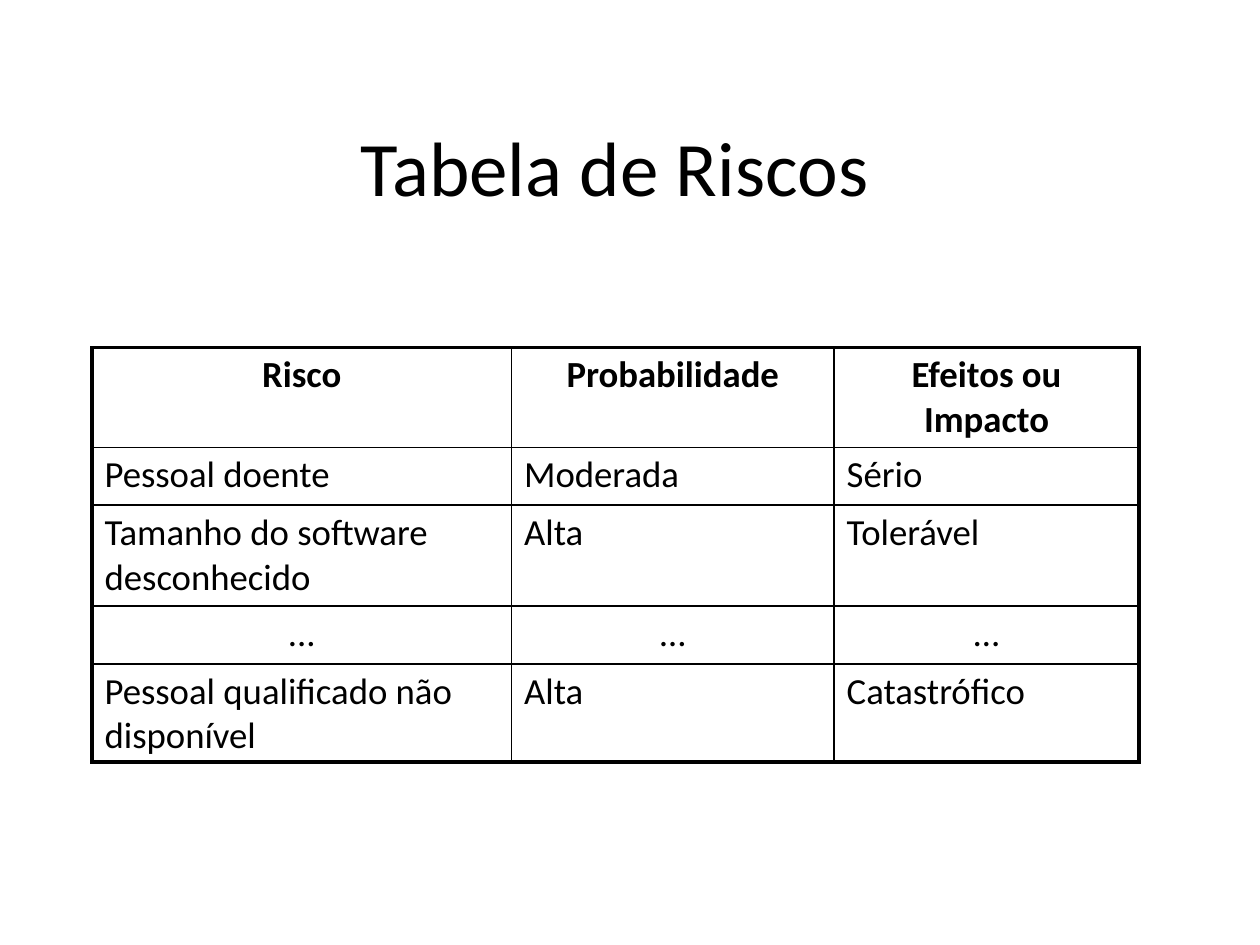
from lxml import etree
from pptx import Presentation
from pptx import util as u
from pptx.dml.color import RGBColor
from pptx.enum import text
from pptx.oxml import ns

COLORS = {"ink": "000000"}
THIN, THICK = 0.96, 2.21
COLUMNS = [3.33, 2.56, 2.42]
ROWS = [0.79, 0.46, 0.8, 0.46, 0.78]
RISKS = [
    ["Risco", "Probabilidade", "Efeitos ou Impacto"],
    ["Pessoal doente", "Moderada", "Sério"],
    ["Tamanho do software desconhecido", "Alta", "Tolerável"],
    ["...", "…", "…"],
    ["Pessoal qualificado não disponível", "Alta", "Catastrófico"],
]
CELL_FORMAT = {
    "margin_left": u.Inches(0.1), "margin_right": u.Inches(0.1),
    "margin_top": u.Inches(0.04), "margin_bottom": u.Inches(0.04),
    "vertical_anchor": text.MSO_ANCHOR.TOP,
}
TITLE_FORMAT = {
    "margin_left": 0, "margin_right": 0, "margin_top": 0, "margin_bottom": 0,
    "word_wrap": True, "vertical_anchor": text.MSO_ANCHOR.TOP,
}


def write(paragraph, words, size, bold, align):
    paragraph.text = words
    paragraph.alignment = align
    font = paragraph.runs[0].font
    for name, value in {"name": "Calibri", "size": u.Pt(size), "bold": bold}.items():
        setattr(font, name, value)
    font.color.rgb = RGBColor.from_string(COLORS["ink"])


def add_border(cell, side, width):
    line = etree.SubElement(cell._tc.get_or_add_tcPr(), ns.qn(f"a:ln{side}"), w=str(u.Pt(width)))
    fill = etree.SubElement(line, ns.qn("a:solidFill"))
    etree.SubElement(fill, ns.qn("a:srgbClr"), val=COLORS["ink"])


deck = Presentation()
deck.slide_width, deck.slide_height = u.Inches(10), u.Inches(7.5)
slide = deck.slides.add_slide(deck.slide_layouts[6])

title = slide.shapes.add_textbox(
    u.Inches(0.94), u.Inches(1.03), u.Inches(7.88), u.Inches(0.86)).text_frame
for name, value in TITLE_FORMAT.items():
    setattr(title, name, value)
heading = title.paragraphs[0]
write(heading, "Tabela de Riscos", 44, False, text.PP_ALIGN.CENTER)
heading.line_spacing = 0.9

risk_table = slide.shapes.add_table(
    len(ROWS), len(COLUMNS), u.Inches(0.73), u.Inches(2.76),
    u.Inches(sum(COLUMNS)), u.Inches(sum(ROWS))).table
risk_table.first_row = risk_table.horz_banding = False
for column, width in zip(risk_table.columns, COLUMNS):
    column.width = u.Inches(width)
for row, height in zip(risk_table.rows, ROWS):
    row.height = u.Inches(height)

for r, risk in enumerate(RISKS):
    for c, words in enumerate(risk):
        cell = risk_table.cell(r, c)
        for name, value in CELL_FORMAT.items():
            setattr(cell, name, value)
        outer_edges = {"L": c == 0, "R": c == len(COLUMNS) - 1,
                       "T": r == 0, "B": r == len(ROWS) - 1}
        for side, is_outer in outer_edges.items():
            add_border(cell, side, THICK if is_outer else THIN)
        cell.fill.background()
        centred = r == 0 or words in ("...", "…")
        write(cell.text_frame.paragraphs[0], words, 21, r == 0,
              text.PP_ALIGN.CENTER if centred else text.PP_ALIGN.LEFT)

deck.save("out.pptx")
